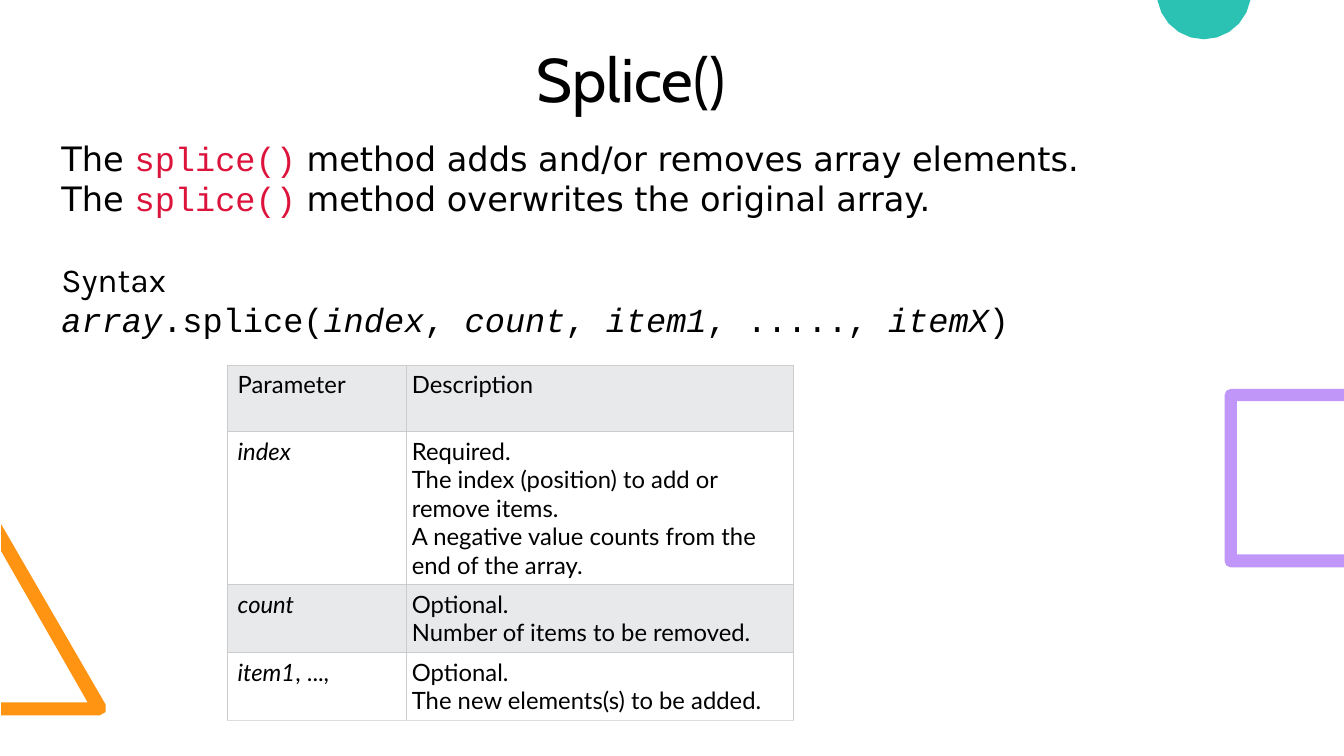
import math
from lxml import etree
from pptx import Presentation, util as u
from pptx.dml.color import RGBColor
from pptx.enum import shapes, text
from pptx.oxml.ns import qn

COLORS = {
    "black": "000000", "white": "FFFFFF", "crimson": "DC143C",
    "orange": "FF9413", "teal": "2BC2B4", "purple": "C097F8",
    "band": "E7E9EB", "border": "CCCCCC", "last_border": "DDDDDD",
}


def arc(center_x, center_y, radius, start, end, steps=2):
    angles = [math.radians(start + (end - start) * i / steps) for i in range(steps + 1)]
    return [(center_x + radius * math.cos(a), center_y + radius * math.sin(a)) for a in angles]


def style(span, font, size, color="black", italic=False):
    span.font.name = font
    span.font.size = u.Pt(size)
    span.font.italic = italic
    span.font.color.rgb = RGBColor.from_string(COLORS[color])


deck = Presentation()
deck.slide_width, deck.slide_height = u.Cm(33.87), u.Cm(19.05)
page = deck.slides.add_slide(deck.slide_layouts[6])

# Decorations at the slide edges
triangle = [(0.03, 18.03), (0.03, 17.7), (2.21, 17.7), (0.03, 13.89), (0.03, 13.21)]
triangle += arc(2.51, 17.85, 0.18, -30, 90)
circle = arc(30.34, -0.2, 1.19, 9.7, 170.3, 10)
bracket = [(33.87, 14.3), (33.87, 13.97), (31.17, 13.97),
           (31.17, 10.11), (33.87, 10.11), (33.87, 9.8)]
bracket += arc(31.02, 9.96, 0.16, 270, 180) + arc(31.02, 14.14, 0.16, 180, 90)
for outline, color in ((triangle, "orange"), (circle, "teal"), (bracket, "purple")):
    points = [(u.Cm(x), u.Cm(y)) for x, y in outline]
    builder = page.shapes.build_freeform(*points[0], scale=1.0)
    builder.add_line_segments(points[1:], close=True)
    decoration = builder.convert_to_shape()
    decoration.shadow.inherit = False
    decoration.fill.solid()
    decoration.fill.fore_color.rgb = RGBColor.from_string(COLORS[color])
    decoration.line.fill.background()

# Title
title = page.shapes.add_textbox(u.Cm(1.3), u.Cm(0.03), u.Cm(29.21), u.Cm(4.09))
title.text_frame.word_wrap = True
title.text_frame.vertical_anchor = text.MSO_ANCHOR.MIDDLE
para = title.text_frame.paragraphs[0]
para.text = "Splice()"
para.alignment = text.PP_ALIGN.CENTER
para.line_spacing = 0.9
style(para.runs[0], "Cabin", 44)

# Explanation and syntax
box = page.shapes.add_shape(shapes.MSO_SHAPE.RECTANGLE,
                            u.Cm(1.3), u.Cm(3.3), u.Cm(26.3), u.Cm(11.53))
box.shadow.inherit = False
box.fill.solid()
box.fill.fore_color.rgb = RGBColor.from_string(COLORS["white"])
box.line.fill.background()
frame = box.text_frame
frame.word_wrap = True
frame.vertical_anchor = text.MSO_ANCHOR.TOP
frame.margin_top, frame.margin_right = u.Cm(0.17), 0

body = []
for effect in ("adds and/or removes array elements.", "overwrites the original array."):
    body.append([("The ", "DejaVu Sans", "black", False),
                 ("splice()", "Courier New", "crimson", False),
                 (f" method {effect}", "DejaVu Sans", "black", False)])
body.append([("Syntax", "Karla", "black", False)])
signature = ["array", ".splice(", "index", ",", " count", ",", " item1", ", ....., ", "itemX", ")"]
body.append([(part, "Courier New", "black", i % 2 == 0) for i, part in enumerate(signature)])
for i, pieces in enumerate(body):
    para = frame.paragraphs[0] if i == 0 else frame.add_paragraph()
    para.alignment = text.PP_ALIGN.LEFT
    para.space_before = u.Pt(29 if i == 2 else 0)
    for wording, font, color, italic in pieces:
        span = para.add_run()
        span.text = wording
        style(span, font, 24, color, italic)

# Parameter table
rows = [
    ("Parameter", "Description"),
    ("index", "Required.\nThe index (position) to add or remove items.\n"
              "A negative value counts from the end of the array."),
    ("count", "Optional.\nNumber of items to be removed."),
    ("item1", "Optional.\nThe new elements(s) to be added."),
]
heights = [1.67, 3.86, 1.71, 1.71]
widths = [4.51, 9.74]
table = page.shapes.add_table(len(rows), len(widths), u.Cm(5.74), u.Cm(9.2),
                              u.Cm(sum(widths)), u.Cm(sum(heights))).table
table.first_row = table.horz_banding = False
for column, width in zip(table.columns, widths):
    column.width = u.Cm(width)
for r, wordings in enumerate(rows):
    table.rows[r].height = u.Cm(heights[r])
    for c, wording in enumerate(wordings):
        cell = table.cell(r, c)
        cell.margin_left = u.Cm(0.13 if c else 0.25)
        cell.margin_right = cell.margin_top = cell.margin_bottom = u.Cm(0.13)
        cell.fill.solid()
        cell.fill.fore_color.rgb = RGBColor.from_string(COLORS["white" if r % 2 else "band"])
        para = cell.text_frame.paragraphs[0]
        para.text = wording
        for span in para.runs:
            style(span, "Lato", 17, italic=c == 0 and r > 0)

        # Thin cell borders
        properties = cell._tc.get_or_add_tcPr()
        for place, side in enumerate(("lnL", "lnR", "lnT", "lnB")):
            last = side == "lnB" and r == len(rows) - 1
            line = etree.Element(qn(f"a:{side}"), w=str(u.Pt(0.5)))
            fill = etree.SubElement(line, qn("a:solidFill"))
            etree.SubElement(fill, qn("a:srgbClr"),
                             val=COLORS["last_border" if last else "border"])
            properties.insert(place, line)

# Upright ending of the last parameter name
ending = table.cell(len(rows) - 1, 0).text_frame.paragraphs[0].add_run()
ending.text = ", ...,"
style(ending, "Lato", 17)

deck.save("out.pptx")
